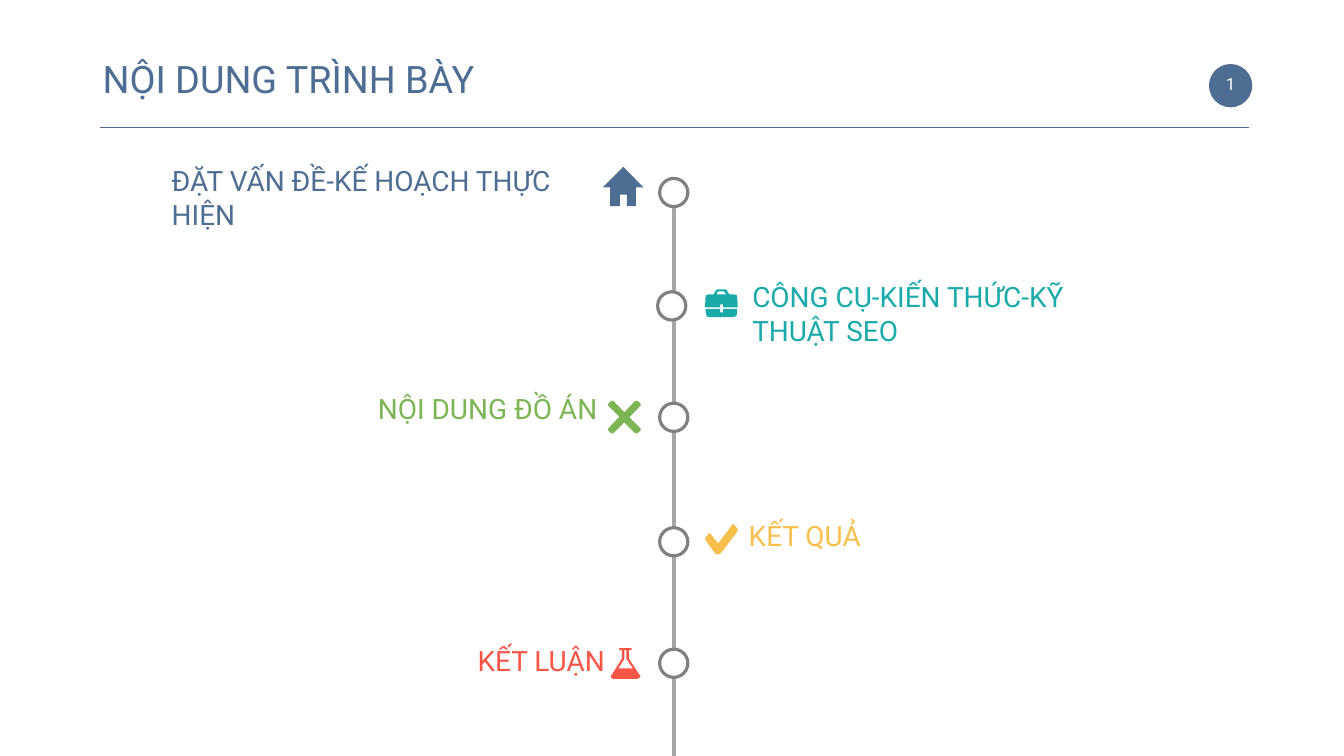
"""Build the agenda slide: a vertical timeline with five labelled topics."""
from lxml import etree
from pptx import Presentation
from pptx import util as u
from pptx.dml.color import RGBColor
from pptx.enum import shapes, text
from pptx.oxml.ns import qn

PX = 9144
WIDE, HIGH = 2667, 1500
FONT = "Roboto"
HUES = {
    "blue": "4D6D92", "teal": "1BAAAA", "green": "7CB554", "gold": "F8BF4D",
    "red": "F95648", "white": "FFFFFF", "ring": "808080", "rail": "A6A6A6",
}
LEFT, RIGHT, MID = text.PP_ALIGN.LEFT, text.PP_ALIGN.RIGHT, text.PP_ALIGN.CENTER
TITLE = "NỘI DUNG TRÌNH BÀY"
DOT = 56
RAIL = 1337

HOUSE = [[(1262, 372), (1277, 372), (1237, 331), (1196, 372), (1211, 372),
          (1211, 409), (1230, 409), (1230, 386), (1244, 386), (1244, 409),
          (1262, 409)]]
CASE = [
    [(1429, 604), (1435, 604), (1435, 610), (1464, 610), (1463, 591),
     (1462, 586), (1457, 584), (1447, 584), (1443, 577), (1441, 574),
     (1438, 574), (1424, 574), (1421, 575), (1420, 577), (1416, 584),
     (1406, 584), (1401, 586), (1400, 591), (1399, 610), (1429, 610)],
    [(1423, 581), (1424, 579), (1427, 578), (1436, 578), (1439, 581),
     (1441, 584), (1422, 584)],
    [(1435, 620), (1429, 620), (1429, 613), (1400, 613), (1401, 624),
     (1403, 628), (1407, 629), (1456, 629), (1461, 627), (1462, 624),
     (1463, 613), (1435, 613)],
]
CROSS = [[(1270, 849), (1272, 852), (1270, 855), (1266, 859), (1263, 860),
          (1260, 859), (1239, 838), (1218, 859), (1215, 860), (1212, 859),
          (1208, 855), (1206, 852), (1208, 849), (1229, 827), (1208, 806),
          (1206, 803), (1208, 800), (1212, 796), (1215, 795), (1218, 796),
          (1239, 818), (1260, 796), (1263, 795), (1266, 796), (1270, 800),
          (1272, 803), (1270, 806), (1249, 828)]]
CHECK = [[(1423, 1100), (1421, 1099), (1418, 1097), (1400, 1072),
          (1399, 1070), (1400, 1067), (1406, 1059), (1408, 1058),
          (1410, 1059), (1423, 1076), (1425, 1077), (1427, 1076),
          (1453, 1041), (1455, 1040), (1457, 1041), (1463, 1049),
          (1464, 1052), (1463, 1055), (1431, 1097), (1429, 1099),
          (1426, 1100)]]
FLASK = [
    [(1264, 1347), (1218, 1347), (1213, 1345), (1212, 1342), (1214, 1339),
     (1234, 1307), (1234, 1290), (1230, 1290), (1228, 1288), (1230, 1286),
     (1252, 1286), (1254, 1288), (1252, 1290), (1248, 1290), (1248, 1307),
     (1269, 1339), (1271, 1342), (1269, 1345)],
    [(1227, 1326), (1256, 1326), (1244, 1309), (1243, 1307), (1243, 1290),
     (1239, 1290), (1239, 1307), (1238, 1309)],
]

TOPICS = [
    ("ĐẶT VẤN ĐỀ-KẾ HOẠCH THỰC HIỆN", "blue", LEFT, (331, 320, 863, 145), (1309, 354), HOUSE),
    ("CÔNG CỤ-KIẾN THỨC-KỸ THUẬT SEO", "teal", LEFT, (1483, 550, 701, 145), (1305, 579), CASE),
    ("NỘI DUNG ĐỒ ÁN", "green", RIGHT, (621, 772, 574, 77), (1309, 800), CROSS),
    ("KẾT QUẢ", "gold", LEFT, (1476, 1023, 574, 77), (1309, 1047), CHECK),
    ("KẾT LUẬN", "red", RIGHT, (636, 1271, 574, 77), (1309, 1288), FLASK),
]


def tint(hue):
    return RGBColor.from_string(HUES[hue])


def scale(box):
    return [n * PX for n in box]


def paint(shape, fill, edge=None):
    shape.shadow.inherit = False
    shape.fill.solid()
    shape.fill.fore_color.rgb = tint(fill)
    if edge:
        shape.line.color.rgb = tint(edge)
        shape.line.width = u.Pt(4.5)
    else:
        shape.line.fill.background()


def add_dot(page, box, fill, edge=None):
    paint(page.shapes.add_shape(shapes.MSO_SHAPE.OVAL, *scale(box)), fill, edge)


def add_line(page, ends, hue, width):
    line = page.shapes.add_connector(shapes.MSO_CONNECTOR.STRAIGHT, *scale(ends))
    line.line.color.rgb = tint(hue)
    line.line.width = u.Pt(width)
    etree.SubElement(line._element.spPr, qn("a:effectLst"))


def add_text(page, words, box, size, hue, align=LEFT):
    frame = page.shapes.add_textbox(*scale(box)).text_frame
    frame.word_wrap = True
    frame.text = words
    para = frame.paragraphs[0]
    para.alignment = align
    font = para.runs[0].font
    font.name, font.size = FONT, u.Pt(size)
    font.color.rgb = tint(hue)
    return frame


def add_icon(page, loops, hue):
    pen = page.shapes.build_freeform(*loops[0][0], scale=PX)
    pen.add_line_segments(loops[0][1:])
    for loop in loops[1:]:
        pen.move_to(*loop[0])
        pen.add_line_segments(loop[1:])
    paint(pen.convert_to_shape(), hue)


def main():
    deck = Presentation()
    deck.slide_width, deck.slide_height = WIDE * PX, HIGH * PX
    page = deck.slides.add_slide(deck.slide_layouts[6])

    add_dot(page, (2399, 127, 86, 86), "blue")
    add_line(page, (198, 253, 2479, 253), "blue", 2.25)
    title = add_text(page, TITLE, (194, 106, 1890, 101), 54, "blue")
    title.auto_size = text.MSO_AUTO_SIZE.SHAPE_TO_FIT_TEXT
    badge = add_text(page, "1", (2391, 130, 102, 73), 24, "white", MID)
    badge.vertical_anchor = text.MSO_ANCHOR.MIDDLE
    badge.margin_left = badge.margin_right = 24 * PX
    badge.margin_top = badge.margin_bottom = 12 * PX

    add_line(page, (RAIL, 410, RAIL, HIGH), "rail", 6)
    for words, hue, align, box, spot, icon in TOPICS:
        add_dot(page, (*spot, DOT, DOT), "white", "ring")
        label = add_text(page, words, box, 40, hue, align)
        label.auto_size = text.MSO_AUTO_SIZE.SHAPE_TO_FIT_TEXT
        add_icon(page, icon, hue)

    deck.save("out.pptx")


if __name__ == "__main__":
    main()
